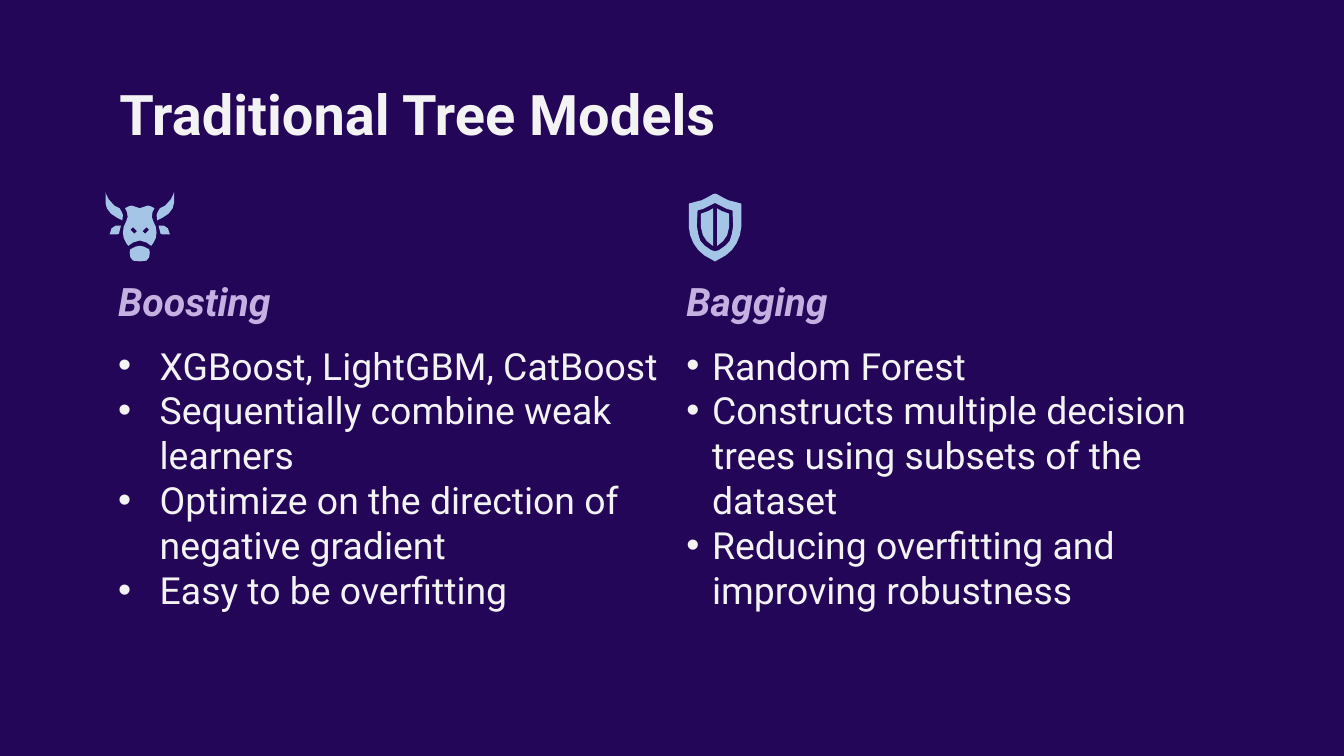
"""Build the slide comparing boosting and bagging tree models."""
from lxml import etree
from pptx import Presentation
from pptx.dml.color import RGBColor
from pptx.enum.text import MSO_ANCHOR
from pptx.oxml.ns import qn
from pptx.util import Inches, Pt

TOP, BOTTOM = MSO_ANCHOR.TOP, MSO_ANCHOR.BOTTOM
NAVY = RGBColor(0x24, 0x06, 0x59)
WHITE = RGBColor(0xF3, 0xF3, 0xF3)
LILAC = RGBColor(0xC5, 0xB1, 0xE1)
BLUE = RGBColor(0xA5, 0xC5, 0xE6)
FONT = "Roboto"
BULLET_FONT = "Arial"

SHIELD_HALVES = [
    [(0, 0), (1.5, 0.5), (6, 3), (10, 5), (14, 6), (19.5, 7.5), (19.5, 25), (18.5, 31),
     (16, 37), (12.5, 42), (8, 46), (0, 50.5)],
    [(0, 7), (4, 9), (9, 11.5), (13, 12.5), (13.5, 24), (12.5, 30), (11, 35), (8, 38.5),
     (3, 42), (0, 43)],
]
SHIELD_SIDES = [
    [(1.5, 11), (5, 13), (10.5, 15), (10.5, 25), (9, 31), (6, 35.5), (1.5, 39)],
]
BULL_HALVES = [
    [(0, 12), (3, 11), (6, 10), (8, 10.5), (11, 12), (9.5, 15), (9, 18.5), (10, 21.5),
     (12, 26), (12.5, 30), (12, 34), (10, 38), (8.5, 40), (5, 37.5), (0, 36)],
    [(0, 40), (3, 40.5), (7, 42.5), (7.5, 45), (7, 48.5), (5, 51), (0, 51.5)],
]
BULL_SIDES = [
    [(25.5, 0), (25.5, 8), (24.5, 12), (21.5, 16), (17, 19), (13, 21), (12.5, 17),
     (13.5, 14.5), (15, 12), (19, 10), (23, 5.5), (25, 1.5)],
    [(14, 25), (18, 25), (21, 27), (22.5, 31.5), (17, 31.5), (15.5, 31)],
    [(5, 26), (7, 28), (4, 31), (2, 29)],
]

COLUMNS = [
    (0.78, 4.22, 0.31, "Boosting", [
        "XGBoost, LightGBM, CatBoost",
        "Sequentially combine weak learners",
        "Optimize on the direction of negative gradient",
        "Easy to be overfitting"]),
    (5.01, 4.03, 0.19, "Bagging", [
        "Random Forest",
        "Constructs multiple decision trees using subsets of the dataset",
        "Reducing overfitting and improving robustness"]),
]


def set_bullet(p, indent):
    """Give a paragraph a white bullet with a hanging indent."""
    pPr = p._p.get_or_add_pPr()
    pPr.set("marL", str(Inches(indent)))
    pPr.set("indent", str(-Inches(indent)))
    clr = etree.SubElement(pPr, qn("a:buClr"))
    etree.SubElement(clr, qn("a:srgbClr"), val=str(WHITE))
    etree.SubElement(pPr, qn("a:buFont"), typeface=BULLET_FONT)
    etree.SubElement(pPr, qn("a:buChar"), char="•")


def add_text(s, box, lines, size, color=WHITE, bold=False, italic=False,
             anchor=TOP, indent=None):
    """Add a text box with one paragraph per line."""
    tf = s.shapes.add_textbox(*map(Inches, box)).text_frame
    tf.word_wrap = True
    tf.vertical_anchor = anchor
    tf.margin_left = tf.margin_right = tf.margin_top = tf.margin_bottom = Inches(0.1)
    for i, line in enumerate(lines):
        p = tf.add_paragraph() if i else tf.paragraphs[0]
        if indent:
            set_bullet(p, indent)
        r = p.add_run()
        r.text = line
        r.font.name, r.font.size = FONT, Pt(size)
        r.font.bold, r.font.italic = bold, italic
        r.font.color.rgb = color


def mirror(points):
    """Reflect points across the vertical axis of an icon."""
    return [(-x, y) for x, y in points]


def add_icon(s, axis, top, halves, sides):
    """Draw a symmetric icon from outlines in hundredths of an inch."""
    outlines = [half + mirror(half)[::-1] for half in halves]
    for side in sides:
        outlines += [side, mirror(side)]
    placed = [[(Inches(axis + x / 100), Inches(top + y / 100)) for x, y in outline]
              for outline in outlines]
    builder = s.shapes.build_freeform(*placed[0][0])
    builder.add_line_segments(placed[0][1:])
    for outline in placed[1:]:
        builder.move_to(*outline[0])
        builder.add_line_segments(outline[1:])
    sp = builder.convert_to_shape()
    sp.shadow.inherit = False
    sp.fill.solid()
    sp.fill.fore_color.rgb = BLUE
    sp.line.fill.background()


def main():
    """Build and save the slide."""
    prs = Presentation()
    prs.slide_width, prs.slide_height = Inches(10), Inches(10 * 9 / 16)
    s = prs.slides.add_slide(prs.slide_layouts[6])
    s.background.fill.solid()
    s.background.fill.fore_color.rgb = NAVY
    add_text(s, (0.79, 0.49, 8.43, 0.63), ["Traditional Tree Models"], 30, bold=True)
    for left, width, indent, heading, points in COLUMNS:
        add_text(s, (left, 1.94, width, 0.57), [heading], 21, LILAC,
                 bold=True, italic=True, anchor=BOTTOM)
        add_text(s, (left, 2.45, width, 2.82), points, 20, indent=indent)
    add_icon(s, 1.04, 1.43, BULL_HALVES, BULL_SIDES)
    add_icon(s, 5.32, 1.44, SHIELD_HALVES, SHIELD_SIDES)
    prs.save("out.pptx")


if __name__ == "__main__":
    main()
